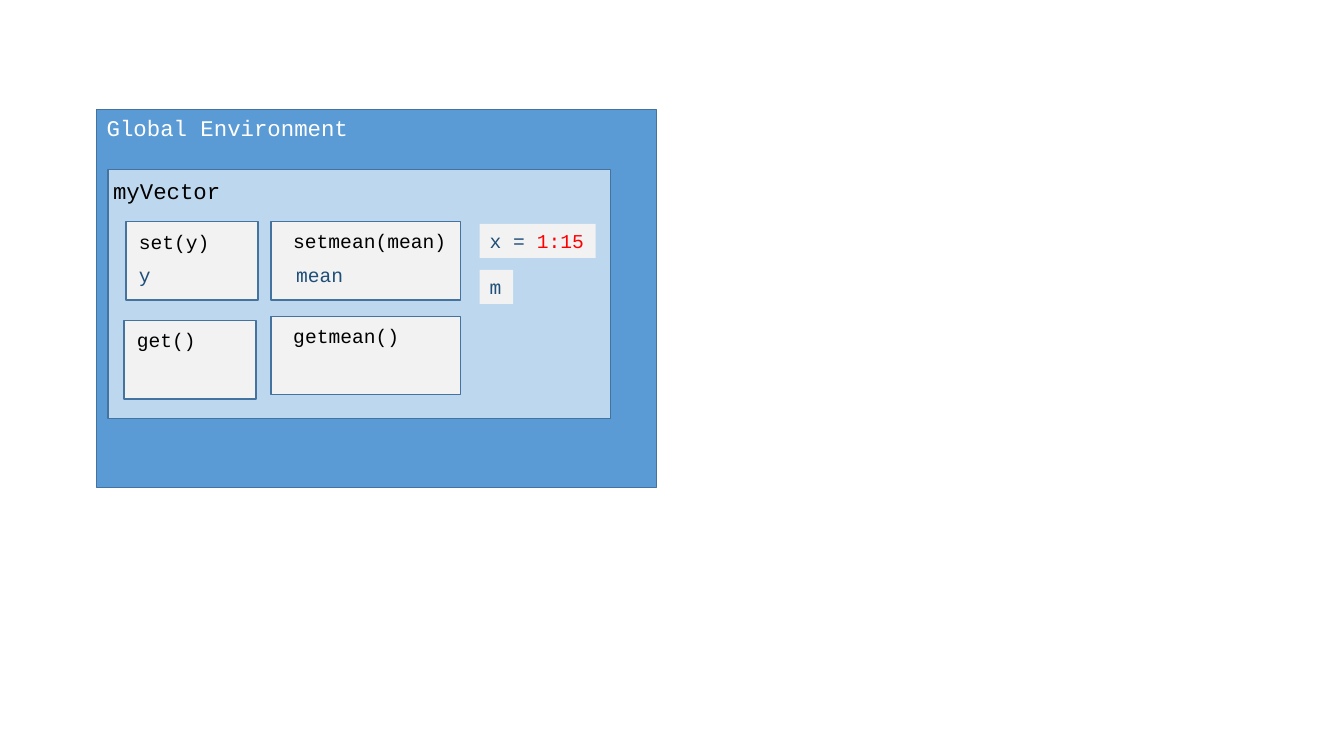
from dataclasses import dataclass

from pptx import Presentation
from pptx.dml.color import RGBColor
from pptx.enum.shapes import MSO_SHAPE
from pptx.enum.text import MSO_AUTO_SIZE
from pptx.util import Cm, Pt

RECT = MSO_SHAPE.RECTANGLE
GROW = MSO_AUTO_SIZE.SHAPE_TO_FIT_TEXT


@dataclass(frozen=True)
class Theme:
    font: str = "Courier New"
    head: int = 16
    code: int = 14
    blue: str = "5B9BD5"
    pale: str = "BDD7EE"
    grey: str = "F2F2F2"
    edge: str = "43739E"
    navy: str = "1F4E79"
    red: str = "FF0000"
    black: str = "000000"
    white: str = "FFFFFF"


THEME = Theme()


def paint(fill, tone):
    fill.solid()
    fill.fore_color.rgb = RGBColor.from_string(tone)


def add_box(slide, left, top, width, height, tone):
    """Draw an outlined rectangle."""
    box = slide.shapes.add_shape(RECT, Cm(left), Cm(top), Cm(width), Cm(height))
    box.shadow.inherit = False
    paint(box.fill, tone)
    paint(box.line.fill, THEME.edge)
    box.line.width = Pt(1)


def add_label(slide, left, top, runs, size=THEME.code, tone=None):
    """Write one line of (text, colour) runs in a box just wider than its text."""
    count = sum(len(text) for text, _ in runs)
    width = 0.55 + count * size * 0.6 * 2.54 / 72
    height = 0.94 if size == THEME.head else 0.86
    label = slide.shapes.add_textbox(Cm(left), Cm(top), Cm(width), Cm(height))
    if tone:
        paint(label.fill, tone)
    frame = label.text_frame
    frame.word_wrap = False
    frame.auto_size = GROW
    for text, ink in runs:
        run = frame.paragraphs[0].add_run()
        run.text = text
        run.font.name = THEME.font
        run.font.size = Pt(size)
        run.font.color.rgb = RGBColor.from_string(ink)


def main():
    deck = Presentation()
    deck.slide_width, deck.slide_height = Cm(33.87), Cm(19.05)
    slide = deck.slides.add_slide(deck.slide_layouts[6])

    # Nested environments
    add_box(slide, 2.44, 2.76, 14.1, 9.53, THEME.blue)
    add_label(slide, 2.44, 2.74, [("Global Environment", THEME.white)], THEME.head)
    add_box(slide, 2.72, 4.27, 12.67, 6.27, THEME.pale)
    add_label(slide, 2.6, 4.34, [("myVector", THEME.black)], THEME.head)

    # Functions: box left, top, width; label left, top; name
    for left, top, width, name_left, name_top, name in (
        (3.18, 5.58, 3.32, 3.25, 5.67, "set(y)"),
        (3.13, 8.08, 3.32, 3.2, 8.15, "get()"),
        (6.83, 5.58, 4.78, 7.14, 5.64, "setmean(mean)"),
        (6.83, 7.97, 4.78, 7.14, 8.03, "getmean()"),
    ):
        add_box(slide, left, top, width, 1.98, THEME.grey)
        add_label(slide, name_left, name_top, [(name, THEME.black)], tone=THEME.grey)

    # Variables
    for left, top, runs in (
        (12.09, 5.64, [("x = ", THEME.navy), ("1:15", THEME.red)]),
        (12.09, 6.8, [("m", THEME.navy)]),
        (3.25, 6.5, [("y", THEME.navy)]),
        (7.21, 6.5, [("mean", THEME.navy)]),
    ):
        add_label(slide, left, top, runs, tone=THEME.grey)

    deck.save("out.pptx")


main()
